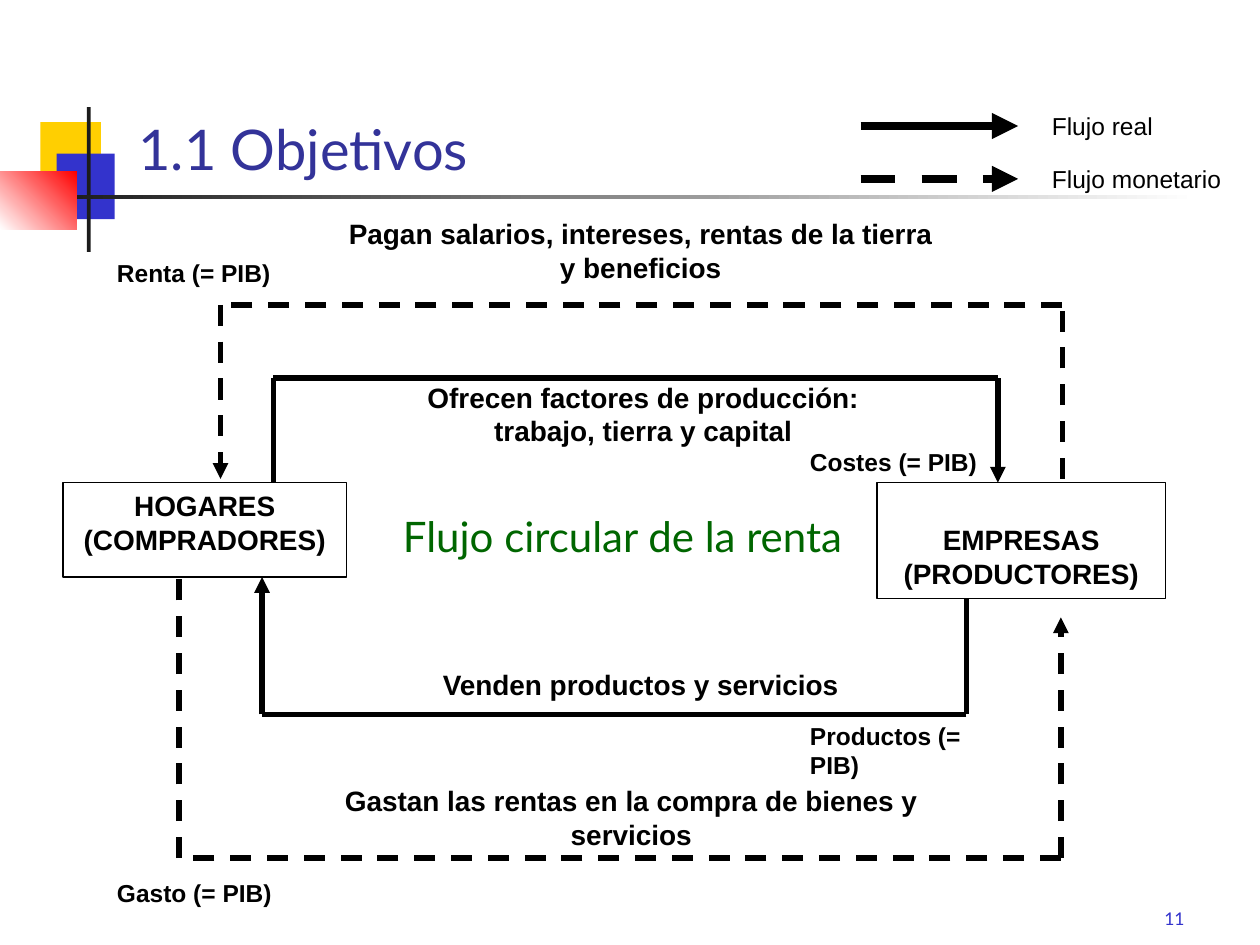
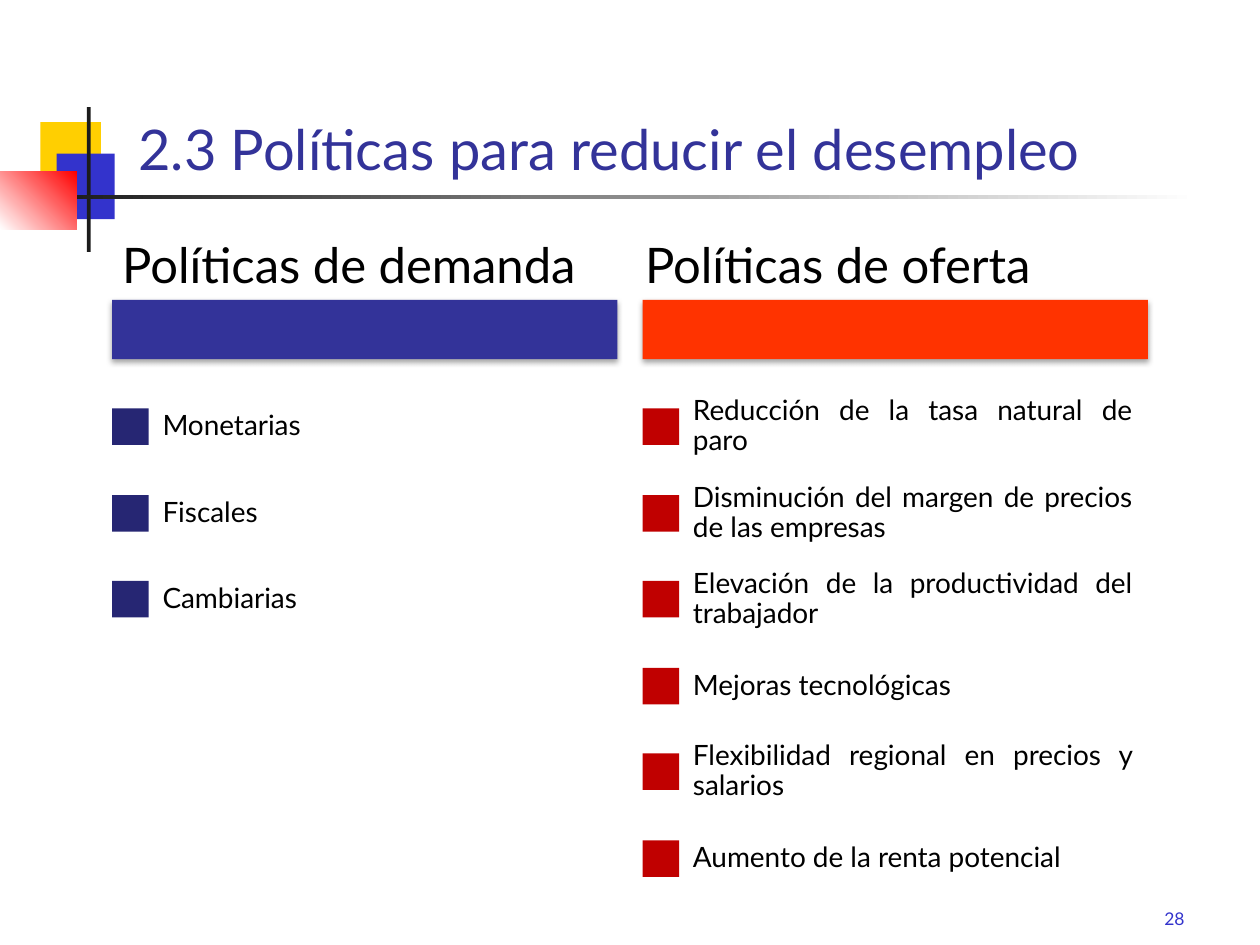
from dataclasses import dataclass, replace
from itertools import pairwise
from typing import NamedTuple

from lxml.etree import SubElement
from pptx import Presentation
from pptx.dml.color import RGBColor
from pptx.enum.dml import MSO_LINE
from pptx.enum.shapes import MSO_CONNECTOR, MSO_SHAPE
from pptx.enum.text import MSO_ANCHOR, PP_ALIGN
from pptx.oxml.ns import qn
from pptx.util import Emu, Pt

PX = 9144  # 100 px to the inch

BLACK = RGBColor(0x00, 0x00, 0x00)
WHITE = RGBColor(0xFF, 0xFF, 0xFF)
INK = RGBColor(0x1C, 0x1C, 0x1C)
YELLOW = RGBColor(0xFF, 0xCF, 0x01)
BLUE = RGBColor(0x33, 0x33, 0xCC)
RED = RGBColor(0xFF, 0x00, 0x00)
INDIGO = RGBColor(0x33, 0x33, 0x99)
NAVY = RGBColor(0x26, 0x26, 0x73)
ORANGE = RGBColor(0xFF, 0x33, 0x00)
CRIMSON = RGBColor(0xC0, 0x00, 0x00)
GREEN = RGBColor(0x00, 0x66, 0x00)


class Box(NamedTuple):
    left: int
    top: int
    width: int
    height: int


class Point(NamedTuple):
    x: int
    y: int


class Inset(NamedTuple):
    x: int = 10
    top: int = 5
    bottom: int = 5


@dataclass(frozen=True)
class Style:
    size: int
    font: str = "Arial"
    color: RGBColor = BLACK
    bold: bool = False
    align: PP_ALIGN = PP_ALIGN.LEFT
    anchor: MSO_ANCHOR = MSO_ANCHOR.TOP
    spacing: float = 1.0
    inset: Inset = Inset()


@dataclass(frozen=True)
class Label:
    text: str
    box: Box
    style: Style


@dataclass(frozen=True)
class Flow:
    """A run of straight segments, optionally ending in an arrowhead."""
    points: tuple[Point, ...]
    dashed: bool = False
    arrow: bool = True
    weight: int = 3


@dataclass(frozen=True)
class Column:
    heading: str
    heading_left: int
    left: int
    bar: RGBColor
    marker: RGBColor
    items: tuple[str, ...]


TITLE = Style(32, "Lato", INDIGO, anchor=MSO_ANCHOR.BOTTOM, spacing=0.9)
NUMBER = Style(10, "Lato", BLUE, align=PP_ALIGN.RIGHT, anchor=MSO_ANCHOR.BOTTOM)
FLOW = Style(16, bold=True, align=PP_ALIGN.CENTER)
LOWERED = replace(FLOW, inset=Inset(top=32))
LEGEND = Style(14)
MEASURE = replace(LEGEND, bold=True)
CENTRE = Style(24, "Lato", GREEN, align=PP_ALIGN.CENTER)
HEADING = Style(28, "Lato", anchor=MSO_ANCHOR.MIDDLE, spacing=0.9, inset=Inset(6, 4, 4))
ITEM = Style(16, "Lato", align=PP_ALIGN.JUSTIFY, anchor=MSO_ANCHOR.MIDDLE,
             spacing=0.9, inset=Inset(12, 12, 12))

AGENTS = (
    Label("HOGARES\n(COMPRADORES)", Box(50, 383, 225, 75), FLOW),
    Label("EMPRESAS\n(PRODUCTORES)", Box(696, 383, 229, 92), LOWERED),
)

FLOWS = (
    Flow((Point(217, 383), Point(217, 300), Point(792, 300), Point(792, 383))),
    Flow((Point(843, 380), Point(843, 242), Point(175, 242), Point(175, 380)), dashed=True),
    Flow((Point(842, 681), Point(142, 681), Point(142, 458)), dashed=True, arrow=False),
    Flow((Point(842, 681), Point(842, 490)), dashed=True),
    Flow((Point(767, 475), Point(767, 567), Point(208, 567), Point(208, 458))),
    Flow((Point(683, 100), Point(808, 100)), weight=5),
    Flow((Point(683, 142), Point(808, 142)), dashed=True, weight=5),
)

LABELS = (
    Label("Pagan salarios, intereses, rentas de la tierra y beneficios",
          Box(267, 167, 483, 67), FLOW),
    Label("Ofrecen factores de producción:\ntrabajo, tierra y capital",
          Box(269, 297, 483, 111), FLOW),
    Label("Venden productos y servicios", Box(267, 525, 483, 44), FLOW),
    Label("Gastan las rentas en la compra de bienes y servicios",
          Box(232, 617, 538, 83), FLOW),
    Label("Costes (= PIB)", Box(633, 350, 167, 33), MEASURE),
    Label("Renta (= PIB)", Box(83, 200, 167, 33), MEASURE),
    Label("Gasto (= PIB)", Box(83, 692, 167, 33), MEASURE),
    Label("Productos (= PIB)", Box(633, 567, 183, 33), MEASURE),
    Label("Flujo real", Box(825, 83, 150, 33), LEGEND),
    Label("Flujo monetario", Box(825, 125, 175, 33), LEGEND),
    Label("Flujo circular de la renta", Box(287, 400, 414, 72), CENTRE),
)

COLUMNS = (
    Column("Políticas de demanda", 91, 89, INDIGO, NAVY,
           ("Monetarias", "Fiscales", "Cambiarias")),
    Column("Políticas de oferta", 506, 510, ORANGE, CRIMSON,
           ("Reducción de la tasa natural de paro",
            "Disminución del margen de precios de las empresas",
            "Elevación de la productividad del trabajador",
            "Mejoras tecnológicas",
            "Flexibilidad regional en precios y salarios",
            "Aumento de la renta potencial")),
)
ITEM_PITCH = 68.6


def emu(*lengths: int) -> list[Emu]:
    return [Emu(length * PX) for length in lengths]


def write(sp, text: str, style: Style) -> None:
    tf = sp.text_frame
    tf.word_wrap = True
    tf.vertical_anchor = style.anchor
    tf.margin_left = tf.margin_right = Emu(style.inset.x * PX)
    tf.margin_top, tf.margin_bottom = emu(style.inset.top, style.inset.bottom)
    tf.text = text
    for p in tf.paragraphs:
        p.alignment = style.align
        p.line_spacing = style.spacing
        for r in p.runs:
            r.font.name = style.font
            r.font.size = Pt(style.size)
            r.font.bold = style.bold
            r.font.color.rgb = style.color


def add_label(s, label: Label) -> None:
    write(s.shapes.add_textbox(*emu(*label.box)), label.text, label.style)


def add_rect(s, box: Box, color: RGBColor):
    sp = s.shapes.add_shape(MSO_SHAPE.RECTANGLE, *emu(*box))
    sp.shadow.inherit = False
    sp.fill.solid()
    sp.fill.fore_color.rgb = color
    sp.line.fill.background()
    return sp


def add_gradient_rect(s, box: Box, start: RGBColor, end: RGBColor, angle: int) -> None:
    fill = add_rect(s, box, start).fill
    fill.gradient()
    fill.gradient_angle = angle
    for stop, color in zip(fill.gradient_stops, (start, end)):
        stop.color.rgb = color


def add_agent(s, agent: Label) -> None:
    sp = add_rect(s, agent.box, WHITE)
    sp.line.color.rgb = BLACK
    sp.line.width = Pt(0.75)
    write(sp, agent.text, agent.style)


def add_flow(s, flow: Flow) -> None:
    for start, end in pairwise(flow.points):
        line = s.shapes.add_connector(MSO_CONNECTOR.STRAIGHT, *emu(*start, *end))
        line.line.color.rgb = BLACK
        line.line.width = Pt(flow.weight)
        if flow.dashed:
            line.line.dash_style = MSO_LINE.DASH
        if flow.arrow and end == flow.points[-1]:
            SubElement(line.line._get_or_add_ln(), qn("a:tailEnd"), type="triangle")
        SubElement(line._element.spPr, qn("a:effectLst"))


def cast_shadow(sp) -> None:
    """Give the shape a soft shadow straight below it."""
    effects = sp._element.spPr.find(qn("a:effectLst"))
    shadow = SubElement(effects, qn("a:outerShdw"), blurRad=str(Pt(3.1)),
                        dist=str(Pt(1.8)), dir="5400000", rotWithShape="0")
    color = SubElement(shadow, qn("a:srgbClr"), val=str(BLACK))
    SubElement(color, qn("a:alpha"), val="35000")


def add_column(s, column: Column) -> None:
    cast_shadow(add_rect(s, Box(column.left, 238, 401, 47), column.bar))
    add_label(s, Label(column.heading, Box(column.heading_left, 170, 401, 85), HEADING))
    for i, item in enumerate(column.items):
        top = 324 + round(i * ITEM_PITCH)
        add_rect(s, Box(column.left, top, 29, 29), column.marker)
        add_label(s, Label(item, Box(column.left + 28, top - 20, 373, 69), ITEM))


def add_base_slide(prs, title: str, number: int):
    """Add a slide with the corner squares, rules, title and page number."""
    s = prs.slides.add_slide(prs.slide_layouts[6])
    add_rect(s, Box(32, 97, 48, 52), YELLOW)
    add_rect(s, Box(45, 122, 46, 52), BLUE)
    add_rect(s, Box(69, 85, 3, 115), INK)
    add_gradient_rect(s, Box(50, 155, 900, 3), INK, WHITE, 0)
    add_gradient_rect(s, Box(0, 136, 61, 46), WHITE, RED, 45)
    add_label(s, Label(str(number), Box(742, 692, 208, 50), NUMBER))
    add_label(s, Label(title, Box(100, 33, 850, 117), TITLE))
    return s


def main() -> None:
    prs = Presentation()
    prs.slide_width, prs.slide_height = emu(1000, 750)

    s = add_base_slide(prs, "1.1 Objetivos", 11)
    for agent in AGENTS:
        add_agent(s, agent)
    for flow in FLOWS:
        add_flow(s, flow)
    for label in LABELS:
        add_label(s, label)

    s = add_base_slide(prs, "2.3 Políticas para reducir el desempleo", 28)
    for column in COLUMNS:
        add_column(s, column)

    prs.save("out.pptx")


if __name__ == "__main__":
    main()
